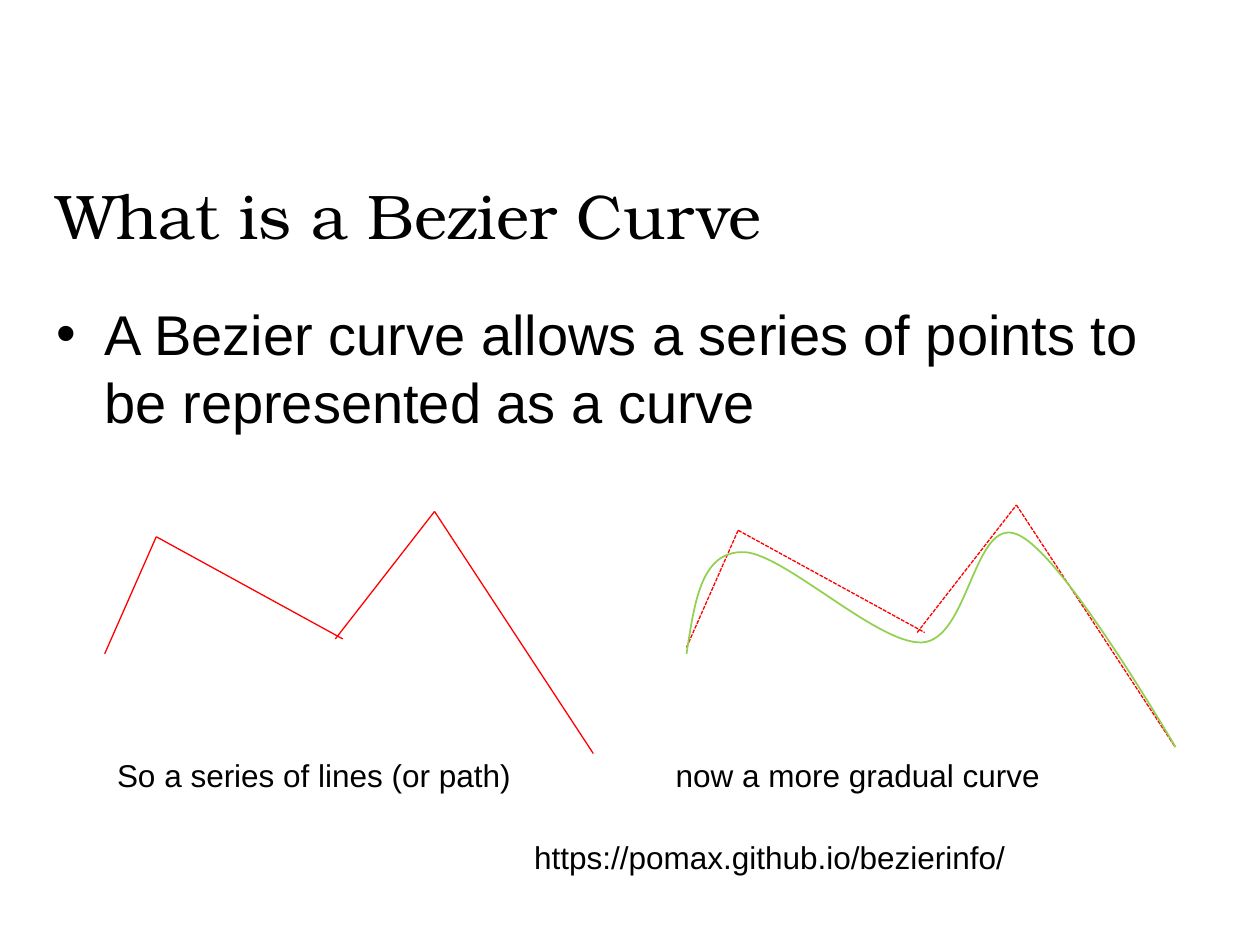
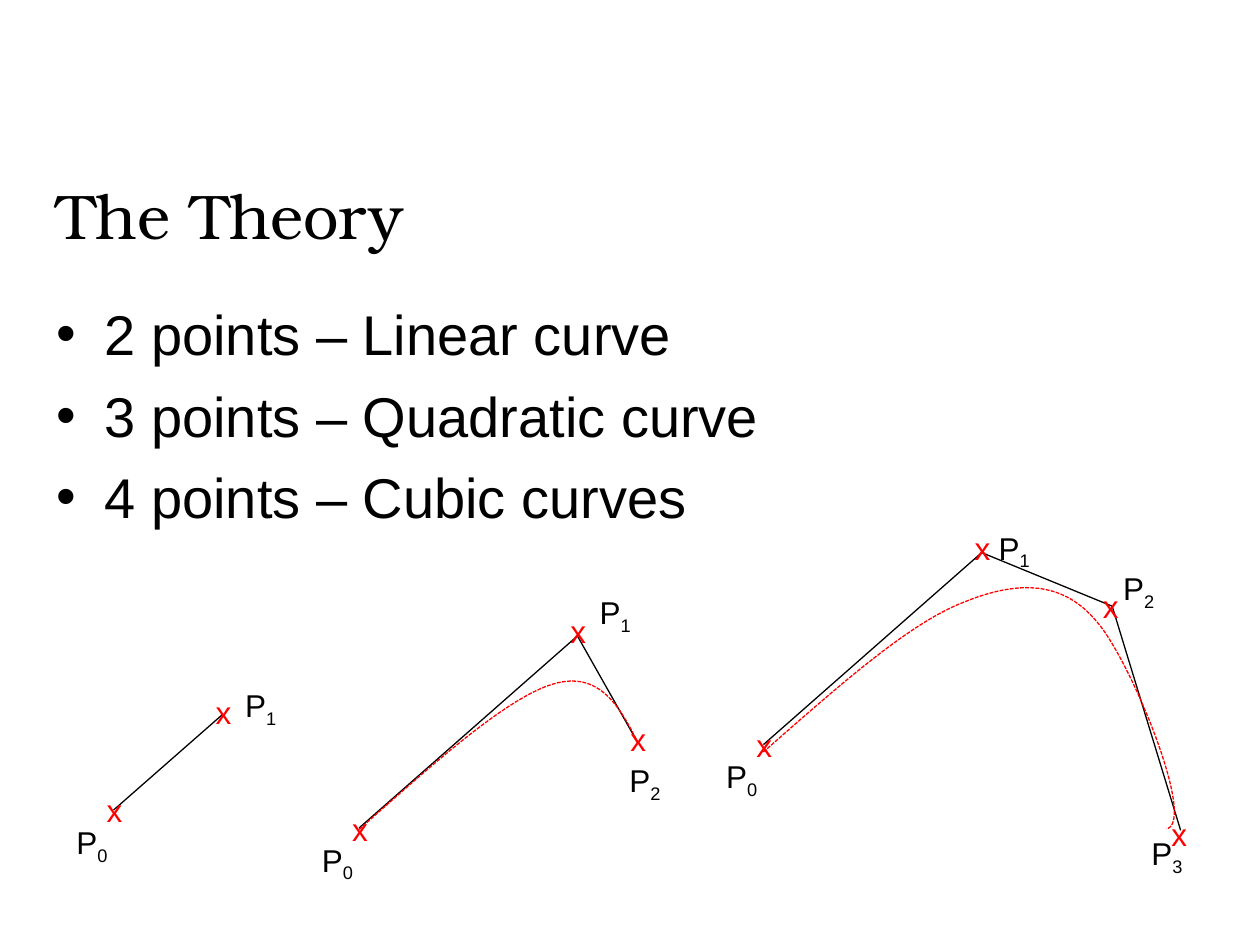
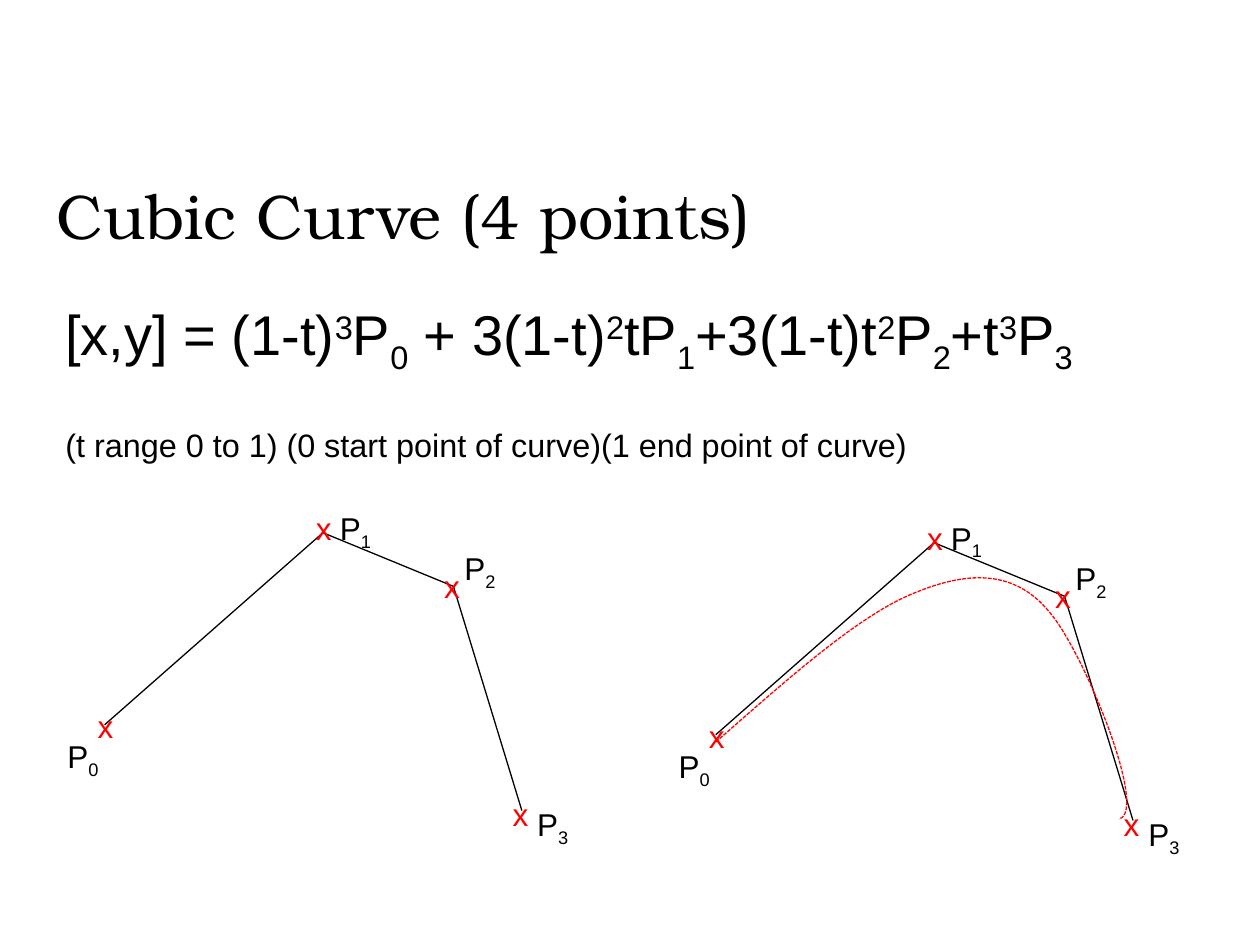
from lxml.etree import SubElement
from pptx import Presentation
from pptx.dml.color import RGBColor
from pptx.enum.dml import MSO_LINE_DASH_STYLE as Dash
from pptx.enum.shapes import MSO_CONNECTOR as Connector
from pptx.enum.text import MSO_ANCHOR as Anchor, PP_ALIGN as Align
from pptx.oxml.ns import qn
from pptx.util import Cm, Pt

BLACK = RGBColor(0x00, 0x00, 0x00)
RED = RGBColor(0xFF, 0x00, 0x00)
GREEN = RGBColor(0x92, 0xD0, 0x50)

BODY_FONT = "Arial"
TITLE_STYLE = dict(name="TeX Gyre Bonum", size=Pt(36))
BODY_STYLE = dict(size=Pt(32))
RANGE_STYLE = dict(size=Pt(18.5))
MARKER_STYLE = dict(color=RED)

# All positions and sizes are in centimetres: left, top, width, height.
TITLE_AREA = (0.89, 2.74, 23.39, 3.18)
INTRO_AREA = (0.89, 5.92, 23.39, 3.4)
LIST_AREA = (0.89, 5.92, 23.39, 12.01)
FORMULA_AREA = (1.07, 5.92, 23.39, 3.61)
CAPTION_AREA = (2.11, 15.11, 21.64, 1.02)
CAPTION_TAB = 11.26
LINK_AREA = (10.52, 16.76, 10.2, 1.02)
LABEL_SIZE = (2.54, 1.12)
BULLET_INDENT = 0.97
SUBSCRIPT, SUPERSCRIPT = -25000, 30000

INTRO = ["A Bezier curve allows a series of points to be represented as a curve"]
CURVE_KINDS = [
    "2 points – Linear curve",
    "3 points – Quadratic curve",
    "4 points – Cubic curves",
]
CAPTION = "So a series of lines (or path)\tnow a more gradual curve"
LINK = "https://pomax.github.io/bezierinfo/"
# "^" raises and "_" lowers the one character that follows.
FORMULA = "[x,y] = (1-t)^3P_0 + 3(1-t)^2tP_1+3(1-t)t^2P_2+t^3P_3"
RANGE_NOTE = "(t range 0 to 1) (0 start point of curve)(1 end point of curve)"

ZIGZAG = [
    ((3.15, 10.82), (6.91, 12.88)),
    ((2.11, 13.18), (3.15, 10.82)),
    ((6.76, 12.88), (8.76, 10.31)),
    ((8.76, 10.31), (11.96, 15.19)),
]
DASHED_SHIFT = (11.73, -0.13)
# A start point, then two control points and an end point per segment.
GRADUAL_CURVE = [
    (13.84, 13.18),
    (14.0, 12.17), (14.12, 11.15), (14.94, 11.13),
    (15.72, 11.07), (17.68, 13.0), (18.59, 12.95),
    (19.53, 12.9), (19.63, 10.41), (20.5, 10.77),
    (21.34, 11.1), (23.24, 14.3), (23.7, 15.06),
]

# Marker box: left of its point, width, alignment of the "x".
NARROW = (-0.39, 1.19, Align.LEFT)
WIDE = (-4.22, 4.6, Align.RIGHT)

# Each point: place from P0, marker box, marker top and label from the point.
LINEAR = [
    ((0, 0), NARROW, -0.51, (-1, 0.13)),
    ((2.2, -1.93), NARROW, -0.56, (0.2, -0.69)),
]
QUADRATIC = [
    ((0, 0), NARROW, -0.48, (-1, 0.13)),
    ((4.4, -3.87), NARROW, -0.61, (0.2, -0.99)),
    ((5.61, -1.73), NARROW, -0.56, (-0.41, 0.25)),
]
CUBIC = [
    ((0, 0), NARROW, -0.49, (-1, 0.13)),
    ((4.4, -3.87), NARROW, -0.61, (0.09, -0.61)),
    ((7.03, -2.79), WIDE, -0.51, (-0.03, -0.87)),
    ((8.41, 1.73), WIDE, -0.43, (0.06, -0.23)),
]
CUBIC_LOW_LABEL = CUBIC[:3] + [((8.41, 1.73), WIDE, -0.43, (-0.84, -0.05))]
QUADRATIC_CURVE = [
    (0, 0.03),
    (1.5, -1.3), (2.97, -2.62), (3.91, -2.9),
    (4.85, -3.18), (5.26, -2.44), (5.64, -1.68),
]
CUBIC_CURVE = [
    (0, 0.15),
    (1.47, -1.14), (2.92, -2.44), (4.04, -2.87),
    (5.16, -3.33), (6.05, -3.28), (6.71, -2.49),
    (7.39, -1.73), (8.74, 1.55), (8.13, 1.7),
]

# Origin of P0, points, curve.
THEORY_FIGURES = [
    ((2.29, 16.33), LINEAR, None),
    ((7.24, 16.69), QUADRATIC, QUADRATIC_CURVE),
    ((15.39, 15.01), CUBIC_LOW_LABEL, CUBIC_CURVE),
]
CUBIC_FIGURES = [
    ((2.11, 14.61), CUBIC, None),
    ((14.43, 14.81), CUBIC, CUBIC_CURVE),
]


def shift(point, offset):
    return point[0] + offset[0], point[1] + offset[1]


def style_font(font, color=BLACK, **changes):
    values = dict(name=BODY_FONT, size=Pt(18)) | changes
    for name, value in values.items():
        setattr(font, name, value)
    font.color.rgb = color


def add_spans(para, text, style):
    """Write text, turning ^ and _ marks into raised and lowered characters."""
    pieces = text.replace("^", "\n^").replace("_", "\n_").split("\n")
    for piece in pieces:
        parts = [(piece, None)]
        if piece[:1] in ("^", "_"):
            baseline = SUPERSCRIPT if piece[0] == "^" else SUBSCRIPT
            parts = [(piece[1], baseline), (piece[2:], None)]
        for part, baseline in parts:
            if part:
                span = para.add_run()
                span.text = part
                style_font(span.font, **style)
                if baseline:
                    span.font._element.set("baseline", str(baseline))


def add_text(page, area, lines, style=None, align=Align.LEFT, anchor=Anchor.TOP):
    box = page.shapes.add_textbox(*map(Cm, area))
    frame = box.text_frame
    frame.word_wrap = True
    frame.vertical_anchor = anchor
    for index, line in enumerate(lines):
        para = frame.add_paragraph() if index else frame.paragraphs[0]
        para.alignment = align
        add_spans(para, line, style or {})
    return frame


def add_bullets(page, area, lines):
    frame = add_text(page, area, lines, BODY_STYLE)
    for index, para in enumerate(frame.paragraphs):
        props = para._p.get_or_add_pPr()
        props.set("marL", str(Cm(BULLET_INDENT)))
        props.set("indent", str(-Cm(BULLET_INDENT)))
        if index:
            para.space_before = Pt(8)
        SubElement(props, qn("a:buFont")).set("typeface", BODY_FONT)
        SubElement(props, qn("a:buChar")).set("char", "•")


def add_line(page, start, end, color=BLACK, dash=None):
    line = page.shapes.add_connector(Connector.STRAIGHT, *map(Cm, start + end))
    line.line.color.rgb = color
    line.line.width = Pt(0.75)
    line.line.dash_style = dash
    SubElement(line._element.spPr, qn("a:effectLst"))


def bezier_point(controls, t):
    weights = ((1 - t) ** 3, 3 * (1 - t) ** 2 * t, 3 * (1 - t) * t ** 2, t ** 3)
    return tuple(sum(w * c for w, c in zip(weights, axis)) for axis in zip(*controls))


def add_curve(page, points, color=RED, width=0.75, dash=Dash.SQUARE_DOT):
    """Size a freeform by sampling the curve, then give it Bezier segments."""
    segments = [points[i:i + 4] for i in range(0, len(points) - 1, 3)]
    samples = [bezier_point(s, step / 20) for s in segments for step in range(1, 21)]
    builder = page.shapes.build_freeform(*map(Cm, points[0]))
    builder.add_line_segments([(Cm(x), Cm(y)) for x, y in samples], close=False)
    curve = builder.convert_to_shape()
    outline = next(curve._element.iter(qn("a:path")))
    for piece in outline.findall(qn("a:lnTo")):
        outline.remove(piece)
    for segment in segments:
        bend = SubElement(outline, qn("a:cubicBezTo"))
        for x, y in segment[1:]:
            node = SubElement(bend, qn("a:pt"))
            node.set("x", str(Cm(x) - curve.left))
            node.set("y", str(Cm(y) - curve.top))
    curve.shadow.inherit = False
    curve.fill.background()
    curve.line.color.rgb = color
    curve.line.width = Pt(width)
    curve.line.dash_style = dash


def add_figure(page, origin, points, curve):
    places = [shift(point[0], origin) for point in points]
    for start, end in zip(places, places[1:]):
        add_line(page, start, end)
    for number, (place, point) in enumerate(zip(places, points)):
        _, (left, width, align), top, label_offset = point
        marker_area = shift(place, (left, top)) + (width, 1.02)
        add_text(page, marker_area, ["x"], MARKER_STYLE, align)
        add_text(page, shift(place, label_offset) + LABEL_SIZE, [f"P_{number}"])
    if curve:
        add_curve(page, [shift(point, origin) for point in curve])


def add_page(deck, title):
    page = deck.slides.add_slide(deck.slide_layouts[6])
    add_text(page, TITLE_AREA, [title], TITLE_STYLE, anchor=Anchor.MIDDLE)
    return page


def add_intro_page(deck):
    page = add_page(deck, "What is a Bezier Curve")
    add_bullets(page, INTRO_AREA, INTRO)
    for offset, dash in (((0, 0), None), (DASHED_SHIFT, Dash.SQUARE_DOT)):
        for start, end in ZIGZAG:
            add_line(page, shift(start, offset), shift(end, offset), RED, dash)
    add_curve(page, GRADUAL_CURVE, GREEN, 1, None)
    caption = add_text(page, CAPTION_AREA, [CAPTION])
    tabs = SubElement(caption.paragraphs[0]._p.get_or_add_pPr(), qn("a:tabLst"))
    tab = SubElement(tabs, qn("a:tab"))
    tab.set("pos", str(Cm(CAPTION_TAB)))
    tab.set("algn", "l")
    add_text(page, LINK_AREA, [LINK])


def add_theory_page(deck):
    page = add_page(deck, "The Theory")
    add_bullets(page, LIST_AREA, CURVE_KINDS)
    for figure in THEORY_FIGURES:
        add_figure(page, *figure)


def add_cubic_page(deck):
    page = add_page(deck, "Cubic Curve (4 points)")
    for figure in CUBIC_FIGURES:
        add_figure(page, *figure)
    frame = add_text(page, FORMULA_AREA, [FORMULA], BODY_STYLE)
    note = frame.add_paragraph()
    note.space_before = Pt(28)
    add_spans(note, RANGE_NOTE, RANGE_STYLE)


def main():
    deck = Presentation()
    deck.slide_width, deck.slide_height = Cm(25.4), Cm(19.05)
    add_intro_page(deck)
    add_theory_page(deck)
    add_cubic_page(deck)
    deck.save("out.pptx")


if __name__ == "__main__":
    main()
